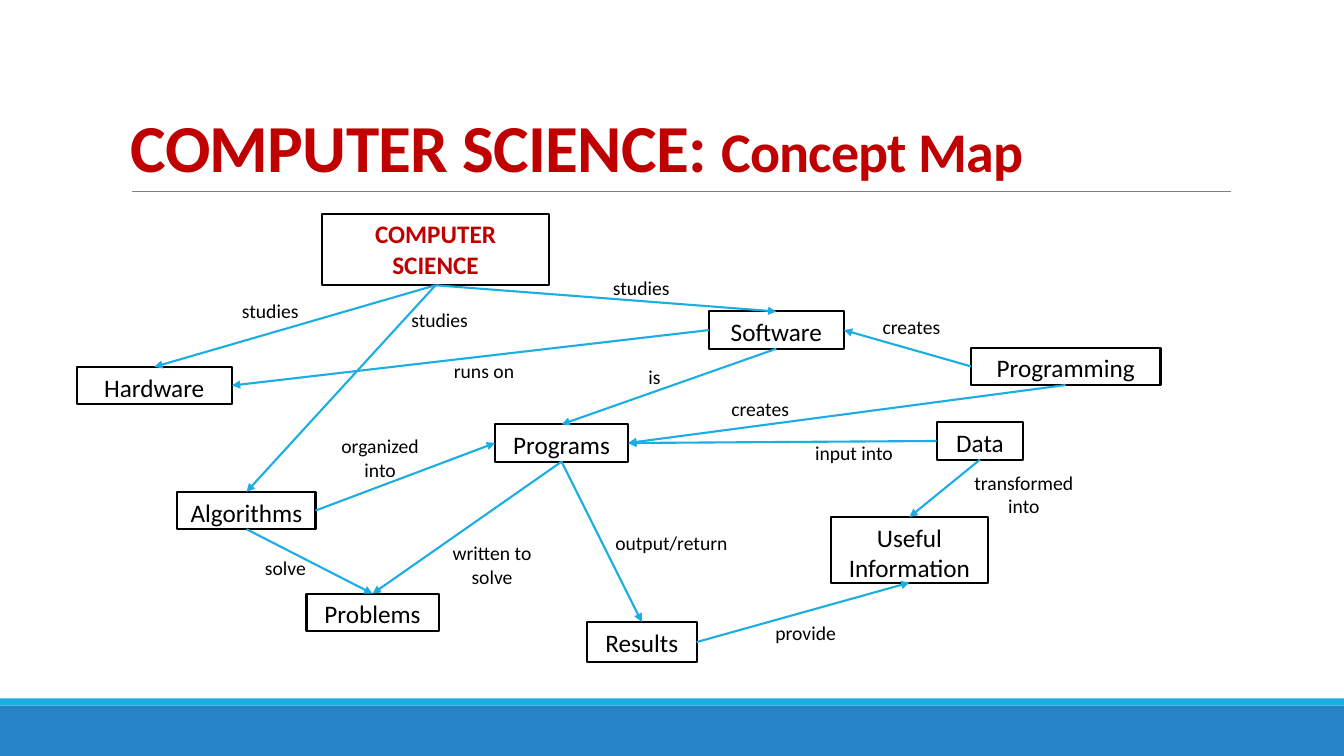
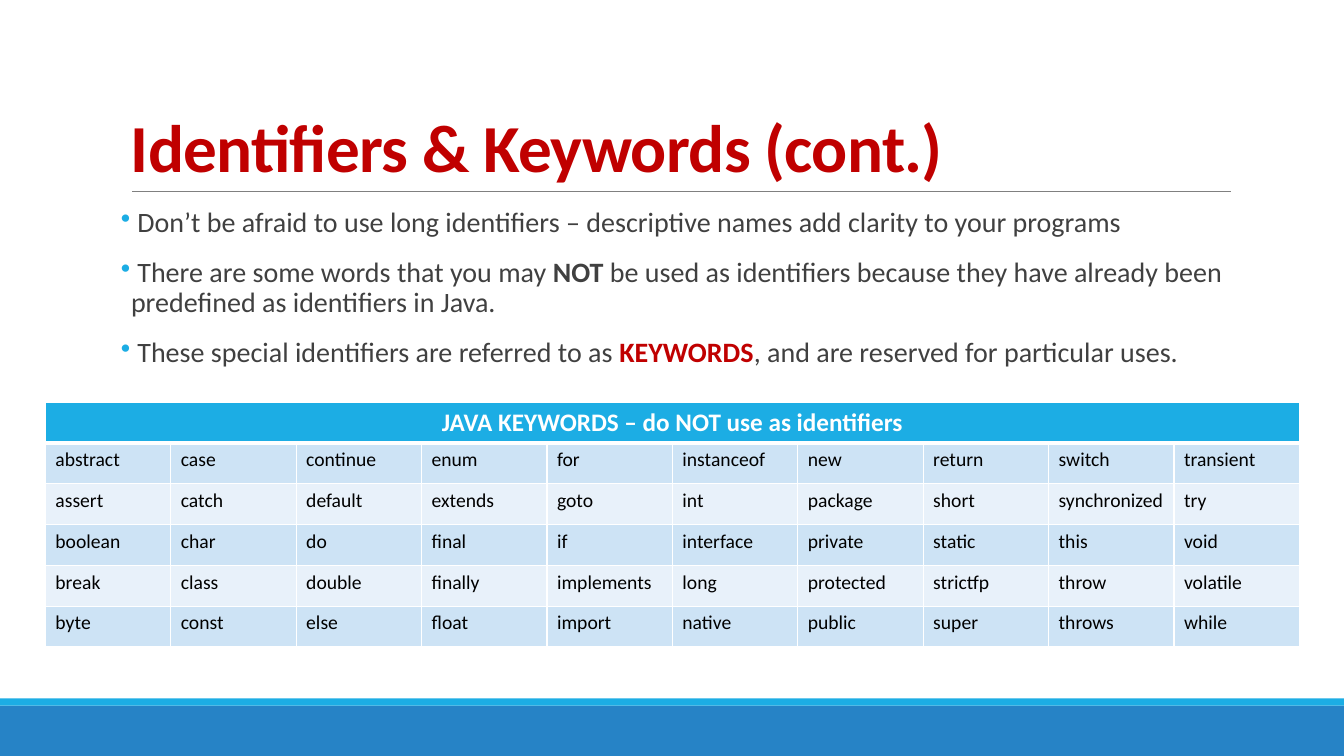
from lxml.etree import SubElement
from pptx import Presentation
from pptx.dml.color import RGBColor
from pptx.enum.shapes import MSO_CONNECTOR as Connector, MSO_SHAPE as Shape
from pptx.enum.text import MSO_ANCHOR as Anchor, MSO_AUTO_SIZE as AutoSize, PP_ALIGN as Align
from pptx.oxml import parse_xml
from pptx.oxml.ns import nsdecls, qn
from pptx.util import Inches, Pt

COLORS = {
    "band": "2683C6", "accent": "1CADE4", "rule": "808080", "title": "C00000",
    "body": "404040", "black": "000000", "white": "FFFFFF",
    "odd_row": "CDE3F5", "even_row": "E8F1FA",
}
FONT = "Calibri"
TOP, LEFT, BOTTOM, RIGHT = range(4)

CONCEPTS = {
    "COMPUTER SCIENCE": (3.19, 2.12, 2.26, 0.71),
    "Hardware": (0.76, 3.64, 1.54, 0.37),
    "Software": (7.03, 3.09, 1.34, 0.37),
    "Programs": (4.91, 4.21, 1.32, 0.37),
    "Algorithms": (1.76, 4.88, 1.37, 0.37),
    "Data": (9.29, 4.19, 0.86, 0.37),
    "Problems": (3.04, 5.89, 1.31, 0.37),
    "Useful\nInformation": (8.24, 5.13, 1.56, 0.65),
    "Results": (5.82, 6.17, 1.09, 0.4),
    "Programming": (9.63, 3.45, 1.88, 0.37),
}

RELATIONS = [
    ("COMPUTER SCIENCE", BOTTOM, "Hardware", TOP, "studies", (2.12, 2.92, 1.12, 0.34)),
    ("COMPUTER SCIENCE", BOTTOM, "Software", TOP, "studies", (5.8, 2.69, 1.12, 0.34)),
    ("Programming", LEFT, "Software", RIGHT, "creates", (8.48, 3.08, 1.12, 0.34)),
    ("COMPUTER SCIENCE", BOTTOM, "Algorithms", TOP, "studies", (3.8, 3.01, 1.12, 0.34)),
    ("Data", LEFT, "Programs", RIGHT, "input into", (7.91, 4.33, 1.12, 0.34)),
    ("Software", BOTTOM, "Programs", TOP, "is", (5.93, 3.57, 1.12, 0.34)),
    ("Software", LEFT, "Hardware", RIGHT, "runs on", (4.24, 3.51, 1.12, 0.34)),
    ("Algorithms", RIGHT, "Programs", LEFT, "organized\ninto", (3.21, 4.26, 1.12, 0.57)),
    ("Programs", BOTTOM, "Problems", TOP, "written to\nsolve", (4.32, 5.32, 1.12, 0.57)),
    ("Programs", BOTTOM, "Results", TOP, "output/return", (5.95, 5.22, 1.42, 0.34)),
    ("Data", BOTTOM, "Useful\nInformation", TOP, "transformed into", (9.49, 4.62, 1.33, 0.57)),
    ("Results", RIGHT, "Useful\nInformation", BOTTOM, "provide", (7.43, 6.11, 1.12, 0.34)),
    ("Algorithms", BOTTOM, "Problems", TOP, "solve", (2.27, 5.47, 1.12, 0.34)),
    ("Programming", BOTTOM, "Programs", RIGHT, "creates", (6.98, 3.89, 1.12, 0.34)),
]

ADVICE = [
    [(" Don’t be afraid to use long identifiers – descriptive names add clarity to your programs", {})],
    [(" There are some words that you may ", {}), ("NOT", {"bold": True}),
     (" be used as identifiers because they have already been predefined as identifiers in Java.", {})],
    [(" These special identifiers are referred to as ", {}),
     ("KEYWORDS", {"bold": True, "color": "title"}),
     (", and are reserved for particular uses.", {})],
]

KEYWORDS = [
    "abstract case continue enum for instanceof new return switch transient".split(),
    "assert catch default extends goto int package short synchronized try".split(),
    "boolean char do final if interface private static this void".split(),
    "break class double finally implements long protected strictfp throw volatile".split(),
    "byte const else float import native public super throws while".split(),
]


def rgb(name):
    """Return the palette colour with this name."""
    return RGBColor.from_string(COLORS[name])


def inches(*lengths):
    """Convert numbers to lengths in inches."""
    return [Inches(length) for length in lengths]


def add_run(paragraph, text, size, color="black", bold=False, spacing=None):
    """Append one formatted run to a paragraph."""
    run = paragraph.add_run()
    run.text = text
    run.font.name, run.font.size, run.font.bold = FONT, Pt(size), bold
    run.font.color.rgb = rgb(color)
    if spacing is not None:
        run.font._element.set("spc", str(spacing))


def write_lines(frame, text, align=Align.CENTER, **style):
    """Write each line of a text as an aligned paragraph."""
    for index, line in enumerate(text.split("\n")):
        paragraph = frame.add_paragraph() if index else frame.paragraphs[0]
        paragraph.alignment = align
        add_run(paragraph, line, **style)


def add_text_frame(slide, box):
    """Add a wrapping text box and return its frame."""
    frame = slide.shapes.add_textbox(*inches(*box)).text_frame
    frame.word_wrap = True
    return frame


def add_box(slide, box, fill=None):
    """Add a rectangle that is either filled or outlined in black."""
    rectangle = slide.shapes.add_shape(Shape.RECTANGLE, *inches(*box))
    rectangle.shadow.inherit = False
    if fill:
        rectangle.fill.solid()
        rectangle.fill.fore_color.rgb = rgb(fill)
        rectangle.line.fill.background()
    else:
        rectangle.fill.background()
        rectangle.line.color.rgb = rgb("black")
        rectangle.line.width = Pt(1.5)
    return rectangle


def add_line(slide, ends, color, width):
    """Add a straight line without a shadow."""
    line = slide.shapes.add_connector(Connector.STRAIGHT, *inches(*ends))
    line.line.color.rgb = rgb(color)
    line.line.width = Pt(width)
    SubElement(line._element.spPr, qn("a:effectLst"))
    return line


def add_framed_slide(deck, title_runs):
    """Add a slide with the footer bands, the title and its rule."""
    slide = deck.slides.add_slide(deck.slide_layouts[6])
    add_box(slide, (0, 7, 13.33, 0.5), "band")
    add_box(slide, (0, 6.93, 13.33, 0.07), "accent")
    add_line(slide, (1.31, 1.9, 12.21, 1.9), "rule", 0.5)
    frame = add_text_frame(slide, (1.2, 0.31, 11, 1.59))
    frame.vertical_anchor = Anchor.BOTTOM
    title = frame.paragraphs[0]
    title.line_spacing = 0.85
    for text, size in title_runs:
        add_run(title, text, size, "title", True, -50)
    return slide


def add_concept(slide, name, box):
    """Add one outlined concept with its name."""
    concept = add_box(slide, box)
    frame = concept.text_frame
    frame.word_wrap = True
    frame.vertical_anchor = Anchor.TOP
    frame.auto_size = AutoSize.SHAPE_TO_FIT_TEXT
    is_root = name == "COMPUTER SCIENCE"
    write_lines(frame, name, size=18, color="title" if is_root else "black", bold=is_root)
    return concept


def add_arrow(slide, source, source_side, target, target_side):
    """Join two concepts with an arrow."""
    arrow = add_line(slide, (0, 0, 0, 0), "accent", 1.5)
    arrow.begin_connect(source, source_side)
    arrow.end_connect(target, target_side)
    SubElement(arrow.line._get_or_add_ln(), qn("a:tailEnd"), type="triangle")


def add_label(slide, text, box):
    """Add the caption of a relation."""
    frame = add_text_frame(slide, box)
    frame.auto_size = AutoSize.SHAPE_TO_FIT_TEXT
    write_lines(frame, text, size=14)


def add_bullets(slide, box, items):
    """Add a bulleted list made of styled runs."""
    frame = add_text_frame(slide, box)
    frame.margin_left = frame.margin_right = 0
    for index, runs in enumerate(items):
        item = frame.add_paragraph() if index else frame.paragraphs[0]
        item.line_spacing, item.space_before, item.space_after = 0.9, Pt(12), Pt(2)
        props = item._p.get_or_add_pPr()
        props.set("marL", str(Inches(0.1)))
        props.set("indent", str(-Inches(0.1)))
        bullet_color = SubElement(props, qn("a:buClr"))
        SubElement(bullet_color, qn("a:srgbClr"), val=COLORS["accent"])
        SubElement(props, qn("a:buChar"), char="•")
        for text, style in runs:
            add_run(item, text, **{"size": 20, "color": "body", **style})


def style_cell(cell, fill, top=1, bottom=1):
    """Fill a cell and give it white borders."""
    cell.fill.solid()
    cell.fill.fore_color.rgb = rgb(fill)
    props = cell._tc.get_or_add_tcPr()
    for index, (side, width) in enumerate((("L", 1), ("R", 1), ("T", top), ("B", bottom))):
        props.insert(index, parse_xml(
            f'<a:ln{side} {nsdecls("a")} w="{Pt(width)}"><a:solidFill>'
            f'<a:srgbClr val="{COLORS["white"]}"/></a:solidFill></a:ln{side}>'))


def add_keyword_table(slide, box, heading, rows):
    """Add a table of words under one merged heading."""
    row_count, column_count = len(rows) + 1, len(rows[0])
    table = slide.shapes.add_table(row_count, column_count, *inches(*box)).table
    for column in table.columns:
        column.width = Inches(box[2] / column_count)
    for row in table.rows:
        row.height = Inches(box[3] / row_count)
    for cell in table.rows[0].cells:
        style_cell(cell, "accent", bottom=3)
    table.cell(0, 0).merge(table.cell(0, column_count - 1))
    write_lines(table.cell(0, 0).text_frame, heading, size=18, color="white", bold=True)
    for number, words in enumerate(rows, 1):
        for column, word in enumerate(words):
            cell = table.cell(number, column)
            style_cell(cell, "odd_row" if number % 2 else "even_row", top=3 if number == 1 else 1)
            write_lines(cell.text_frame, word, Align.LEFT, size=14)


def build_concept_map(deck):
    """Build the concept map slide."""
    slide = add_framed_slide(deck, [("COMPUTER SCIENCE: ", 48), ("Concept Map", 40)])
    concepts = {name: add_concept(slide, name, box) for name, box in CONCEPTS.items()}
    for source, source_side, target, target_side, _, _ in RELATIONS:
        add_arrow(slide, concepts[source], source_side, concepts[target], target_side)
    for *_, label, box in RELATIONS:
        add_label(slide, label, box)


def build_keywords(deck):
    """Build the identifiers and keywords slide."""
    slide = add_framed_slide(deck, [("Identifiers & Keywords (cont.)", 48)])
    add_bullets(slide, (1.2, 2.02, 11, 4.4), ADVICE)
    add_keyword_table(slide, (0.45, 3.99, 12.44, 2.43),
                      "JAVA KEYWORDS – do NOT use as identifiers", KEYWORDS)


def main():
    """Create and save the presentation."""
    deck = Presentation()
    deck.slide_width, deck.slide_height = inches(13.33, 7.5)
    build_concept_map(deck)
    build_keywords(deck)
    deck.save("out.pptx")


if __name__ == "__main__":
    main()
